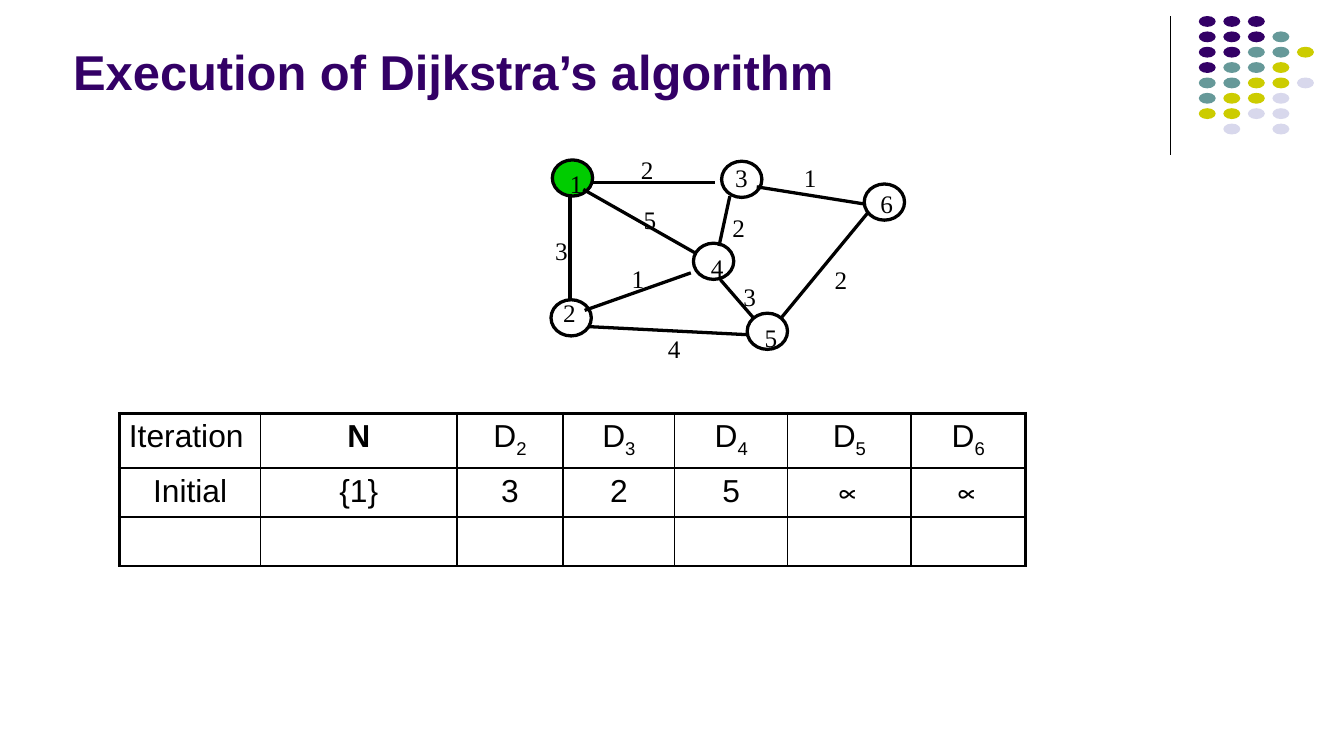
import pptx
import pptx.dml.color
import pptx.enum.shapes
import pptx.enum.text
import pptx.oxml
import pptx.oxml.ns
import pptx.util

Pt = pptx.util.Pt
SHAPES = pptx.enum.shapes.MSO_SHAPE
ALIGN = pptx.enum.text.PP_ALIGN
ANCHOR = pptx.enum.text.MSO_ANCHOR

COLORS = {
    "ink": "000000",
    "purple": "330066",
    "teal": "669999",
    "olive": "CCCC00",
    "lavender": "D8D8EC",
    "start": "00CC00",
}

TITLE = "Execution of Dijkstra’s algorithm"

DOT_ROWS = ["PPP", "PPPT", "PPTTO", "PTTO", "TTOOL", "TOOL", "OOLL", " L L"]
DOT_COLORS = {"P": "purple", "T": "teal", "O": "olive", "L": "lavender"}

# label, circle corner, label corner, fill
NODES = [
    ("1", (295.9, 85.7), (305.3, 90), "start"),
    ("2", (295.2, 160.6), (301.7, 159.1), None),
    ("3", (386.6, 86.4), (393.8, 87.1), None),
    ("4", (371.5, 130.3), (380.9, 135.4), None),
    ("5", (400.3, 167.8), (409.7, 172.8), None),
    ("6", (463, 98.6), (471.6, 100.8), None),
]

# weight, from, to, label corner
EDGES = [
    ("2", (316.8, 97.9), (383, 97.9), (343.4, 82.8)),
    ("2", (391, 105.1), (385.2, 131.8), (392.4, 113.8)),
    ("3", (385.9, 149.8), (403.9, 170.6), (398.2, 150.5)),
    ("2", (418.3, 170.6), (465.1, 113.8), (447.1, 141.8)),
    ("4", (400.3, 179.3), (315.4, 175), (357.8, 178.6)),
    ("3", (305.3, 103.7), (305.3, 161.3), (297.4, 126)),
    ("5", (312.5, 101.5), (372.2, 135.4), (344.9, 109.4)),
    ("1", (405.4, 100.1), (463.7, 109.4), (430.6, 87.1)),
    ("1", (370.1, 146.2), (313.2, 166.3), (338.4, 141.1)),
]

DISTANCES = [
    ["Iteration", "N", "D_2", "D_3", "D_4", "D_5", "D_6"],
    ["Initial", "{1}", "3", "2", "5", "∝", "∝"],
    [""] * 7,
]
COLUMN_WIDTHS = [75.6, 105.1, 56.9, 59.8, 60.5, 66.2, 61.2]
ROW_HEIGHT = 25.2


def rgb(name):
    return pptx.dml.color.RGBColor.from_string(COLORS[name])


def write(frame, text, size=17, font="Arial", color="ink", bold=False,
          align=ALIGN.LEFT, anchor=ANCHOR.TOP, wrap=True, insets=None):
    frame.word_wrap = wrap
    frame.vertical_anchor = anchor
    if insets:
        frame.margin_left = frame.margin_right = Pt(insets[0])
        frame.margin_top = frame.margin_bottom = Pt(insets[1])
    paragraph = frame.paragraphs[0]
    paragraph.alignment = align
    paragraph.font.size = Pt(size)
    for index, part in enumerate(text.split("_") if text else []):
        run = paragraph.add_run()
        run.text = part
        run.font.size = Pt(size)
        run.font.name = font
        run.font.bold = bold
        run.font.color.rgb = rgb(color)
        if index:
            run.font._element.set("baseline", "-25000")


def add_label(slide, text, corner):
    box = slide.shapes.add_textbox(*map(Pt, corner), Pt(7.2), Pt(16.6))
    write(box.text_frame, text, size=13.5, font="Times New Roman",
          wrap=False, insets=(0, 0))


def add_line(slide, start, end, width):
    line = slide.shapes.add_connector(
        pptx.enum.shapes.MSO_CONNECTOR.STRAIGHT, *map(Pt, start + end))
    line.line.color.rgb = rgb("ink")
    line.line.width = Pt(width)
    line._element.spPr.append(pptx.oxml.parse_xml(
        f"<a:effectLst {pptx.oxml.ns.nsdecls('a')}/>"))


def add_ellipse(slide, corner, size, fill=None, outline=None):
    ellipse = slide.shapes.add_shape(SHAPES.OVAL, *map(Pt, corner + size))
    ellipse.shadow.inherit = False
    if fill:
        ellipse.fill.solid()
        ellipse.fill.fore_color.rgb = rgb(fill)
    else:
        ellipse.fill.background()
    if outline:
        ellipse.line.color.rgb = rgb("ink")
        ellipse.line.width = Pt(outline)
    else:
        ellipse.line.fill.background()


def set_borders(cell, widths):
    properties = cell._tc.get_or_add_tcPr()
    for side, width in widths.items():
        properties.append(pptx.oxml.parse_xml(
            f'<a:ln{side} {pptx.oxml.ns.nsdecls("a")} w="{Pt(width)}">'
            f'<a:solidFill><a:srgbClr val="{COLORS["ink"]}"/></a:solidFill>'
            f'</a:ln{side}>'))


def add_dots(slide):
    add_line(slide, (627.1, 8.6), (627.1, 82.8), 0.75)
    for row, codes in enumerate(DOT_ROWS):
        for column, code in enumerate(codes):
            if code in DOT_COLORS:
                corner = (642.2 + 13.15 * column, 8.6 + 8.23 * row)
                add_ellipse(slide, corner, (9.1, 5.8), DOT_COLORS[code])


def add_distances(slide):
    table = slide.shapes.add_table(
        len(DISTANCES), len(COLUMN_WIDTHS), Pt(64.1), Pt(221.6),
        Pt(sum(COLUMN_WIDTHS)), Pt(ROW_HEIGHT * len(DISTANCES))).table
    table.first_row = table.horz_banding = False
    for column, width in zip(table.columns, COLUMN_WIDTHS):
        column.width = Pt(width)
    last = len(COLUMN_WIDTHS) - 1
    for r, texts in enumerate(DISTANCES):
        table.rows[r].height = Pt(ROW_HEIGHT)
        for c, text in enumerate(texts):
            cell = table.cell(r, c)
            cell.margin_left = cell.margin_right = Pt(5)
            cell.margin_top = cell.margin_bottom = Pt(2.9)
            write(cell.text_frame, text, bold=text == "N",
                  align=ALIGN.LEFT if r == c == 0 else ALIGN.CENTER)
            set_borders(cell, {
                "L": 2.25 if c == 0 else 1,
                "R": 2.25 if c == last else 1,
                "T": 2.25 if r == 0 else 1,
                "B": 1,
            })
            cell.fill.background()


def main():
    deck = pptx.Presentation()
    deck.slide_width, deck.slide_height = Pt(720), Pt(405)
    slide = deck.slides.add_slide(deck.slide_layouts[6])

    add_dots(slide)
    title = slide.shapes.add_textbox(Pt(33.8), Pt(0), Pt(450), Pt(56.2))
    write(title.text_frame, TITLE, size=26.2, color="purple", bold=True,
          anchor=ANCHOR.BOTTOM, insets=(5.4, 2.7))
    add_distances(slide)

    for label, corner, label_corner, fill in NODES:
        add_ellipse(slide, corner, (21.6, 19.4), fill, outline=1.75)
        add_label(slide, label, label_corner)
    for weight, start, end, label_corner in EDGES:
        add_line(slide, start, end, 1.75)
        add_label(slide, weight, label_corner)

    deck.save("out.pptx")


if __name__ == "__main__":
    main()
